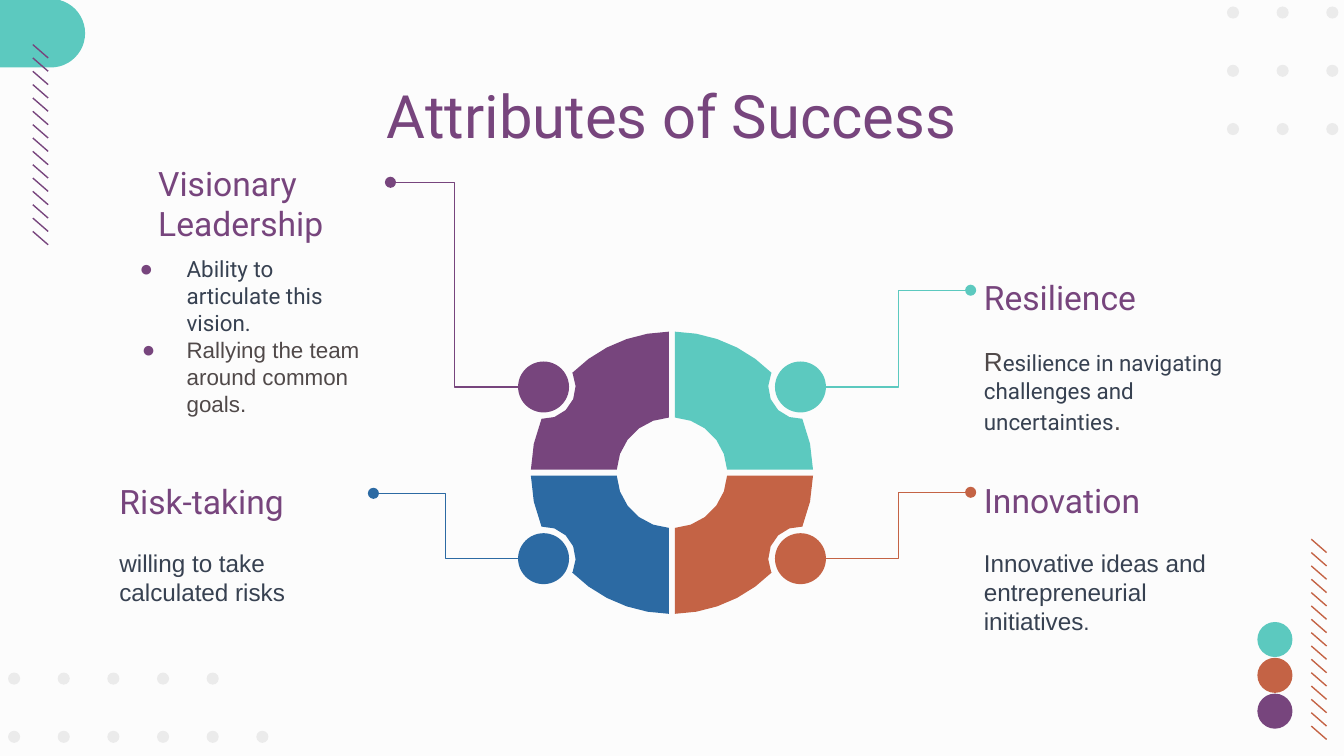
from math import asin, cos, degrees, radians, sin
from lxml import etree
from pptx import Presentation
from pptx.dml.color import RGBColor
from pptx.enum import shapes, text
from pptx.oxml import ns
from pptx.util import Pt

PLUM, TEAL, RUST, BLUE = "77457D", "5CC9BF", "C46345", "2C6AA3"
PALE, SLATE, BROWN = "EBEBEB", "374151", "504949"

TITLE = ((57.6, 35.3, 604.8, 45.4), [("Attributes of Success", 32, "Roboto", PLUM)])
HEADS = [
    ((77.7, 79.9, 131.8, 34.6), "Visionary Leadership"),
    ((520, 141.4, 143.3, 28.1), "Resilience"),
    ((56.9, 250.6, 143.3, 28.1), "Risk-taking"),
    ((520, 249.9, 143.3, 28.1), "Innovation"),
]
NOTES = [
    ((520, 178, 143.3, 45.4), [
        ("R", 14, "Arial", BROWN),
        ("esilience in navigating challenges and uncertainties", 12, "Roboto", SLATE),
        (".", 14, "Arial", BROWN)]),
    ((56.9, 286.6, 143.3, 45.4), [
        ("willing to take calculated risks", 13, "Arial", SLATE)]),
    ((520, 286.6, 143.3, 45.4), [
        ("Innovative ideas and entrepreneurial initiatives", 13, "Arial", SLATE),
        (".", 12, "Arial", SLATE)]),
]
POINTS_BOX = (56.9, 129.6, 143.3, 97.9)
POINTS = [
    (25.2, [("Ability to articulate this vision.", 12, "Roboto", SLATE)]),
    (24, [("Rallying the team around common goals.", 12, "Arial", BROWN)]),
]
PARTS = [
    (-1, -1, PLUM, (209.2, 97.7)),
    (1, -1, TEAL, (520, 155.5)),
    (-1, 1, BLUE, (200.1, 264.3)),
    (1, 1, RUST, (520, 263.8)),
]
MID = (360, 253.3)
HUB = (68.8, 46)
HUB_SIZE = 27.3
OUTER, INNER, NOTCH, GAP = 75.6, 29.6, 17.2, 1.6

HATCHES = [(17.6, 23.9, PLUM), (702.5, 288.9, RUST)]
HATCH_COUNT, HATCH_STEP, HATCH_WIDE = 15, 7.15, 8.2
DOT_ROWS = [(657.3, 3.5, 3), (657.3, 34.7, 3), (657.3, 65.9, 3),
            (4.3, 360.3, 5), (4.3, 391.5, 6)]
DOT_STEP, DOT_SIZE = 26.6, 6.5
BEADS = [TEAL, RUST, PLUM]

deck = Presentation()
deck.slide_width, deck.slide_height = Pt(720), Pt(405)
slide = deck.slides.add_slide(deck.slide_layouts[6])
art = slide.shapes


def tint(code):
    return RGBColor.from_string(code)


def paint(shape, code):
    shape.shadow.inherit = False
    shape.fill.solid()
    shape.fill.fore_color.rgb = tint(code)
    shape.line.fill.background()
    return shape


def disc(x, y, size, code):
    paint(art.add_shape(shapes.MSO_SHAPE.OVAL, Pt(x), Pt(y), Pt(size), Pt(size)), code)


def link(kind, start, end, code, knob=False):
    line = art.add_connector(kind, *map(Pt, start + end))
    line.line.color.rgb = tint(code)
    line.line.width = Pt(0.75)
    if knob:
        etree.SubElement(line.line._get_or_add_ln(), ns.qn("a:tailEnd"), type="oval")
    etree.SubElement(line._element.spPr, ns.qn("a:effectLst"))


def frame(box):
    body = art.add_textbox(*map(Pt, box)).text_frame
    body.word_wrap = True
    body.vertical_anchor = text.MSO_ANCHOR.TOP
    for side in ("left", "right", "top", "bottom"):
        setattr(body, "margin_" + side, Pt(7.2))
    return body


def write(para, runs):
    for words, size, face, code in runs:
        run = para.add_run()
        run.text = words
        run.font.size = Pt(size)
        run.font.name = face
        run.font.color.rgb = tint(code)


def bullet(para, hang):
    props = para._p.get_or_add_pPr()
    props.set("marL", str(Pt(36)))
    props.set("indent", str(-Pt(hang)))
    color = etree.SubElement(props, ns.qn("a:buClr"))
    etree.SubElement(color, ns.qn("a:srgbClr"), val=PLUM)
    etree.SubElement(props, ns.qn("a:buFont"), typeface="Arial")
    etree.SubElement(props, ns.qn("a:buChar"), char="●")
    para.font.size = Pt(12)


def arc(center, radius, start, end, steps):
    turns = [radians(start + (end - start) * i / steps) for i in range(steps + 1)]
    return [(center[0] + radius * cos(t), center[1] + radius * sin(t)) for t in turns]


def wedge():
    far, near = degrees(asin(GAP / OUTER)), degrees(asin(GAP / INNER))
    return (arc((0, 0), OUTER, 90 - far, 45, 5) + arc(HUB, NOTCH, 155, 274, 5)
            + arc((0, 0), OUTER, 22.4, far, 2) + arc((0, 0), INNER, near, 90 - near, 5))


slide.background.fill.solid()
slide.background.fill.fore_color.rgb = tint("FCFCFC")

tab = paint(art.add_shape(shapes.MSO_SHAPE.ROUND_2_SAME_RECTANGLE,
                          Pt(3.8), Pt(-5.6), Pt(36), Pt(46.8)), TEAL)
tab.adjustments[0] = 0.5
tab.rotation = 90
tab.line.color.rgb = tint(TEAL)
tab.line.width = Pt(0.75)

for x, y, code in HATCHES:
    for i in range(HATCH_COUNT):
        top = y + i * HATCH_STEP
        link(shapes.MSO_CONNECTOR.STRAIGHT, (x + HATCH_WIDE, top + HATCH_STEP), (x, top), code)

for x, y, count in DOT_ROWS:
    for i in range(count):
        disc(x + i * DOT_STEP, y, DOT_SIZE, PALE)

for i, code in enumerate(BEADS):
    disc(673.6, 333.2 + i * 19.2, 18.8, code)

for sx, sy, code, end in PARTS:
    edge = [(Pt(MID[0] + sx * u), Pt(MID[1] + sy * v)) for u, v in wedge()]
    pen = art.build_freeform(*edge[0], scale=1.0)
    pen.add_line_segments(edge[1:], close=True)
    paint(pen.convert_to_shape(), code)
    x, y = MID[0] + sx * HUB[0], MID[1] + sy * HUB[1]
    disc(x - HUB_SIZE / 2, y - HUB_SIZE / 2, HUB_SIZE, code)
    link(shapes.MSO_CONNECTOR.ELBOW, (x + sx * HUB_SIZE / 2, y), end, code, True)

title = frame(TITLE[0]).paragraphs[0]
title.alignment = text.PP_ALIGN.CENTER
write(title, TITLE[1])
for box, words in HEADS:
    write(frame(box).paragraphs[0], [(words, 18, "Roboto", PLUM)])
for box, runs in NOTES:
    write(frame(box).paragraphs[0], runs)

body = frame(POINTS_BOX)
for i, (hang, runs) in enumerate(POINTS):
    para = body.add_paragraph() if i else body.paragraphs[0]
    bullet(para, hang)
    write(para, runs)

deck.save("out.pptx")
